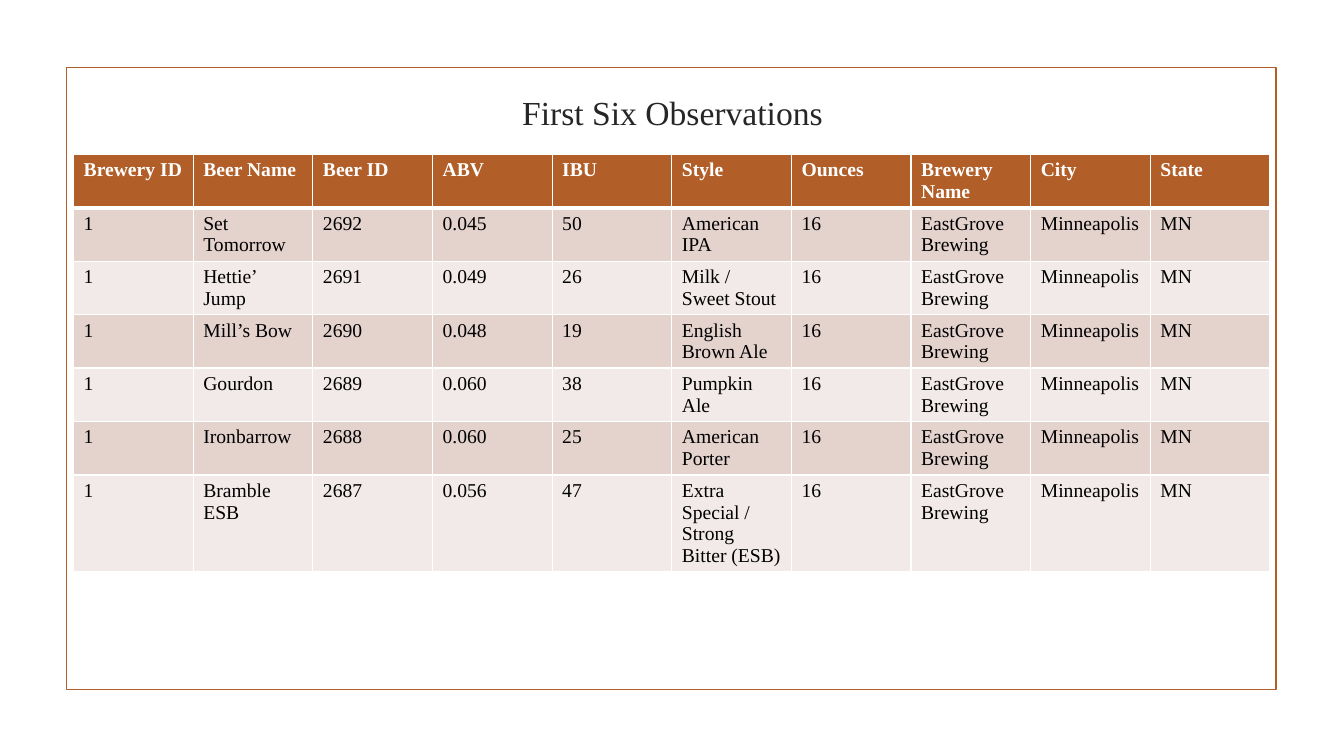
from dataclasses import dataclass

from lxml import etree
from pptx import Presentation
from pptx import util as u
from pptx.dml.color import RGBColor
from pptx.enum import shapes, text
from pptx.oxml import ns


@dataclass(frozen=True)
class Theme:
    font: str = "Times New Roman"
    accent: str = "B15E28"
    bands: tuple = ("E4D2CD", "F2EAE8")
    white: str = "FFFFFF"
    black: str = "000000"
    title: str = "262626"
    title_size: int = 24
    table_size: int = 14


theme = Theme()


def style_text(frame, size, color, bold=False):
    for paragraph in frame.paragraphs:
        for run in paragraph.runs:
            run.font.name = theme.font
            run.font.size = u.Pt(size)
            run.font.bold = bold
            run.font.color.rgb = RGBColor.from_string(color)


def add_borders(cell, widths):
    """Draw white left, right, top and bottom borders, widths in points."""
    properties = cell._tc.get_or_add_tcPr()
    for index, (side, width) in enumerate(zip("LRTB", widths)):
        line = etree.Element(ns.qn(f"a:ln{side}"), w=str(u.Pt(width)))
        fill = etree.SubElement(line, ns.qn("a:solidFill"))
        etree.SubElement(fill, ns.qn("a:srgbClr"), val=theme.white)
        properties.insert(index, line)


presentation = Presentation()
presentation.slide_width = u.Inches(13.33)
presentation.slide_height = u.Inches(7.5)
slide = presentation.slides.add_slide(presentation.slide_layouts[5])

# Page frame
frame = slide.shapes.add_shape(
    shapes.MSO_SHAPE.RECTANGLE,
    u.Inches(0.66), u.Inches(0.67), u.Inches(12), u.Inches(6.17))
frame.shadow.inherit = False
frame.fill.background()
frame.line.color.rgb = RGBColor.from_string(theme.accent)
frame.line.width = u.Pt(1.25)

# Title
title = slide.shapes.title
title.left, title.top = u.Inches(1.42), u.Inches(0.87)
title.width, title.height = u.Inches(10.5), u.Inches(0.49)
title.text_frame.text = "First Six Observations"
title.text_frame.word_wrap = True
title.text_frame.vertical_anchor = text.MSO_ANCHOR.MIDDLE
title.text_frame.paragraphs[0].alignment = text.PP_ALIGN.CENTER
style_text(title.text_frame, theme.title_size, theme.title)

# Observations: the columns that vary, then the ones shared by every beer
headers = ["Brewery ID", "Beer Name", "Beer ID", "ABV", "IBU", "Style",
           "Ounces", "Brewery Name", "City", "State"]
beers = [
    ("Set Tomorrow", "2692", "0.045", "50", "American IPA"),
    ("Hettie’ Jump", "2691", "0.049", "26", "Milk / Sweet Stout"),
    ("Mill’s Bow", "2690", "0.048", "19", "English Brown Ale"),
    ("Gourdon", "2689", "0.060", "38", "Pumpkin Ale"),
    ("Ironbarrow", "2688", "0.060", "25", "American Porter"),
    ("Bramble ESB", "2687", "0.056", "47",
     "Extra Special / Strong Bitter (ESB)"),
]
brewery = ("16", "EastGrove Brewing", "Minneapolis", "MN")
rows = [headers] + [("1", *beer, *brewery) for beer in beers]

# Table
row_height = u.Inches(0.41)
table = slide.shapes.add_table(
    len(rows), len(headers), u.Inches(0.73), u.Inches(1.53),
    u.Inches(11.87), row_height * len(rows)).table
for row_index, values in enumerate(rows):
    is_header = row_index == 0
    table.rows[row_index].height = row_height
    fill = theme.accent if is_header else theme.bands[(row_index - 1) % 2]
    color = theme.white if is_header else theme.black
    top = 3 if row_index == 1 else 1
    bottom = 3 if is_header else 1
    for column_index, value in enumerate(values):
        cell = table.cell(row_index, column_index)
        cell.text_frame.text = value
        style_text(cell.text_frame, theme.table_size, color, is_header)
        cell.fill.solid()
        cell.fill.fore_color.rgb = RGBColor.from_string(fill)
        add_borders(cell, (1, 1, top, bottom))

presentation.save("out.pptx")
